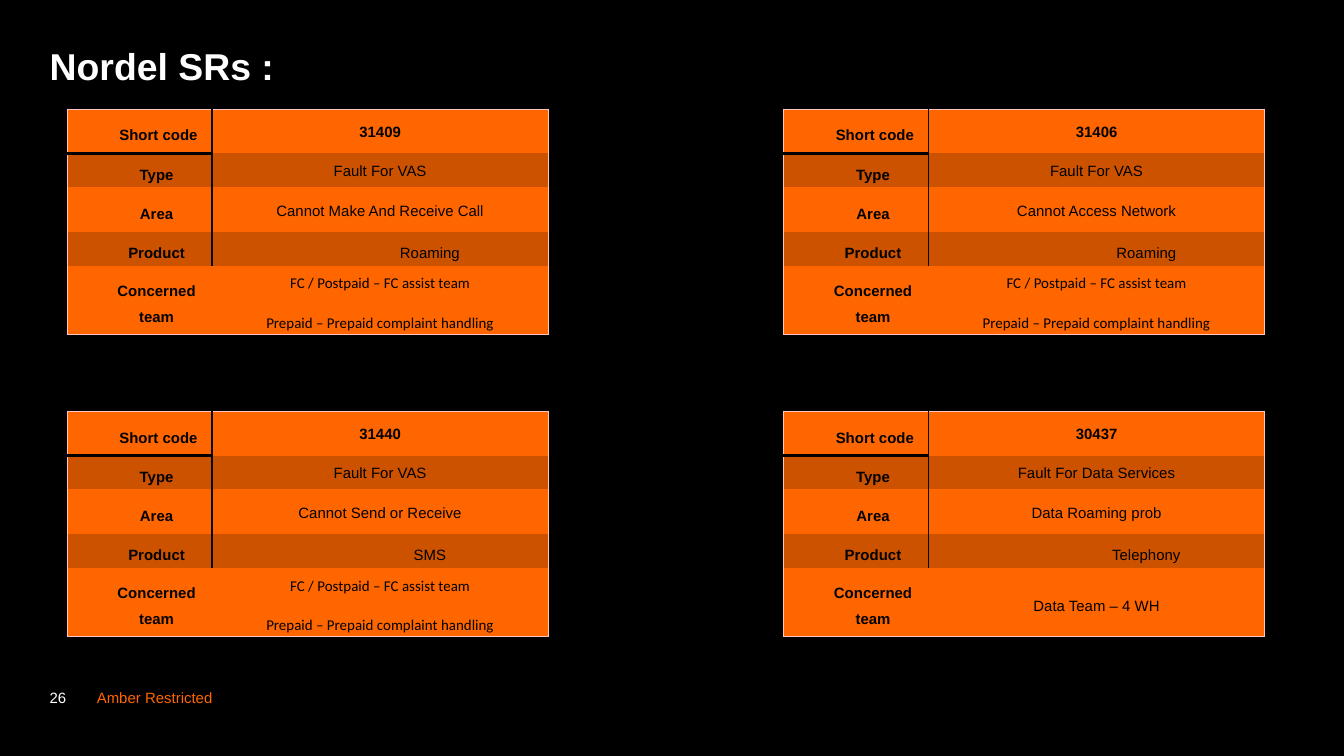
from pptx import Presentation
from pptx.dml.color import RGBColor as Rgb
from pptx.enum.text import MSO_ANCHOR as Anchor, PP_ALIGN as Align
from pptx.oxml import parse_xml
from pptx.oxml.ns import nsdecls
from pptx.util import Cm, Pt

COLORS = {
    "black": "000000",
    "white": "FFFFFF",
    "orange": "FF6600",
    "band": "CC5200",
    "edge": "FFC6BD",
}
NO_STYLE = "{2D5ABB26-0587-4C30-8999-92F81FD0307C}"

# Table grid, in centimetres
LEFTS, TOPS = (1.27, 14.81), (2.06, 7.77)
WIDTHS = (2.74, 6.35)
HEIGHTS = (0.84, 0.64, 0.84, 0.64, 1.3)

LABELS = ("Short code", "Type", "Area", "Product", "Concerned team")
LABEL_INDENTS = (0.71, 0.64, 0.64, 0.64, 0.64)
PRODUCT_INDENT = 1.88

TEAMS = ("FC / Postpaid – FC assist team", "Prepaid – Prepaid complaint handling")
REQUESTS = (
    ("31409", "Fault For VAS", "Cannot Make And Receive Call", "Roaming", TEAMS),
    ("31406", "Fault For VAS", "Cannot Access Network", "Roaming", TEAMS),
    ("31440", "Fault For VAS", "Cannot Send or Receive", "SMS", TEAMS),
    ("30437", "Fault For Data Services", "Data Roaming prob", "Telephony",
     ("Data Team – 4 WH",)),
)

EXACT = {"line_spacing": Pt(13.8), "space_after": Pt(7.5)}
LOOSE = {"line_spacing": 1.15}


def apply(target, values):
    for name, value in values.items():
        setattr(target, name, value)


def write(para, text, color, size=8, font="Arial", bold=False, **layout):
    apply(para, layout)
    span = para.add_run()
    span.text = text
    apply(span.font, {"size": Pt(size), "name": font, "bold": bold})
    span.font.color.rgb = Rgb.from_string(COLORS[color])


def add_text(page, place, text, color, anchor=Anchor.TOP, after=12, **style):
    frame = page.shapes.add_textbox(*map(Cm, place)).text_frame
    apply(frame, {"word_wrap": True, "vertical_anchor": anchor,
                  "margin_left": 0, "margin_right": 0,
                  "margin_top": 0, "margin_bottom": 0})
    write(frame.paragraphs[0], text, color,
          line_spacing=0.85, space_after=Pt(after), **style)


def set_borders(cell, borders):
    """Draw the given sides (L, R, T, B) as (colour, points)."""
    properties = cell._tc.get_or_add_tcPr()
    for side in "LRTB":
        if side in borders:
            color, width = borders[side]
            properties.append(parse_xml(
                f'<a:ln{side} {nsdecls("a")} w="{Pt(width)}"><a:solidFill>'
                f'<a:srgbClr val="{COLORS[color]}"/></a:solidFill></a:ln{side}>'))


def cell_borders(row, column):
    last = len(LABELS) - 1
    edge = ("edge", 0.5)
    borders = {"R" if column else "L": edge}
    if row == 0:
        borders["T"] = edge
    if row == last:
        borders["B"] = edge
    if column == 0 and row < last:
        borders["R"] = ("black", 1)
    if column == 0 and row == 0:
        borders["B"] = ("black", 1.5)
    return borders


def fill_cell(cell, lines, indent=0, **style):
    apply(cell, {"vertical_anchor": Anchor.MIDDLE,
                 "margin_left": Cm(0.1), "margin_right": Cm(0.1),
                 "margin_top": 0, "margin_bottom": 0})
    frame = cell.text_frame
    for number, line in enumerate(lines):
        para = frame.add_paragraph() if number else frame.paragraphs[0]
        para._p.get_or_add_pPr().set("marL", str(Cm(indent)))
        write(para, line, "black", alignment=Align.CENTER, **style)


def value_style(row, lines):
    if row == 3:
        return {"indent": PRODUCT_INDENT, **EXACT}
    if row == 4:
        return {"font": "Calibri" if lines == TEAMS else "Arial", **EXACT}
    return {"bold": row == 0, **LOOSE}


def add_request(page, left, top, values):
    frame = page.shapes.add_table(len(LABELS), 2, Cm(left), Cm(top),
                                  Cm(sum(WIDTHS)), Cm(sum(HEIGHTS)))
    table = frame.table
    table._tbl.tblPr.find("{*}tableStyleId").text = NO_STYLE
    for column, width in zip(table.columns, WIDTHS):
        column.width = Cm(width)
    for row, (label, value) in enumerate(zip(LABELS, values)):
        table.rows[row].height = Cm(HEIGHTS[row])
        lines = value if isinstance(value, tuple) else (value,)
        fill_cell(table.cell(row, 0), (label,), LABEL_INDENTS[row],
                  bold=True, **EXACT)
        fill_cell(table.cell(row, 1), lines, **value_style(row, lines))
        for column in range(2):
            cell = table.cell(row, column)
            set_borders(cell, cell_borders(row, column))
            cell.fill.solid()
            shade = COLORS["band" if row % 2 else "orange"]
            cell.fill.fore_color.rgb = Rgb.from_string(shade)


def main():
    deck = Presentation()
    apply(deck, {"slide_width": Cm(25.4), "slide_height": Cm(14.29)})
    page = deck.slides.add_slide(deck.slide_layouts[6])
    page.background.fill.solid()
    page.background.fill.fore_color.rgb = Rgb.from_string(COLORS["black"])

    # Footer
    add_text(page, (0.94, 12.42, 0.76, 0.94), "26", "white", Anchor.BOTTOM)
    add_text(page, (1.83, 12.42, 22.63, 0.94), "Amber Restricted", "orange",
             Anchor.BOTTOM)

    # Title
    add_text(page, (0.94, 0.94, 23.52, 11.48), "Nordel SRs :", "white",
             after=24, size=20, bold=True)

    # Service requests, two by two
    places = [(left, top) for top in TOPS for left in LEFTS]
    for (left, top), values in zip(places, REQUESTS):
        add_request(page, left, top, values)

    deck.save("out.pptx")


if __name__ == "__main__":
    main()
